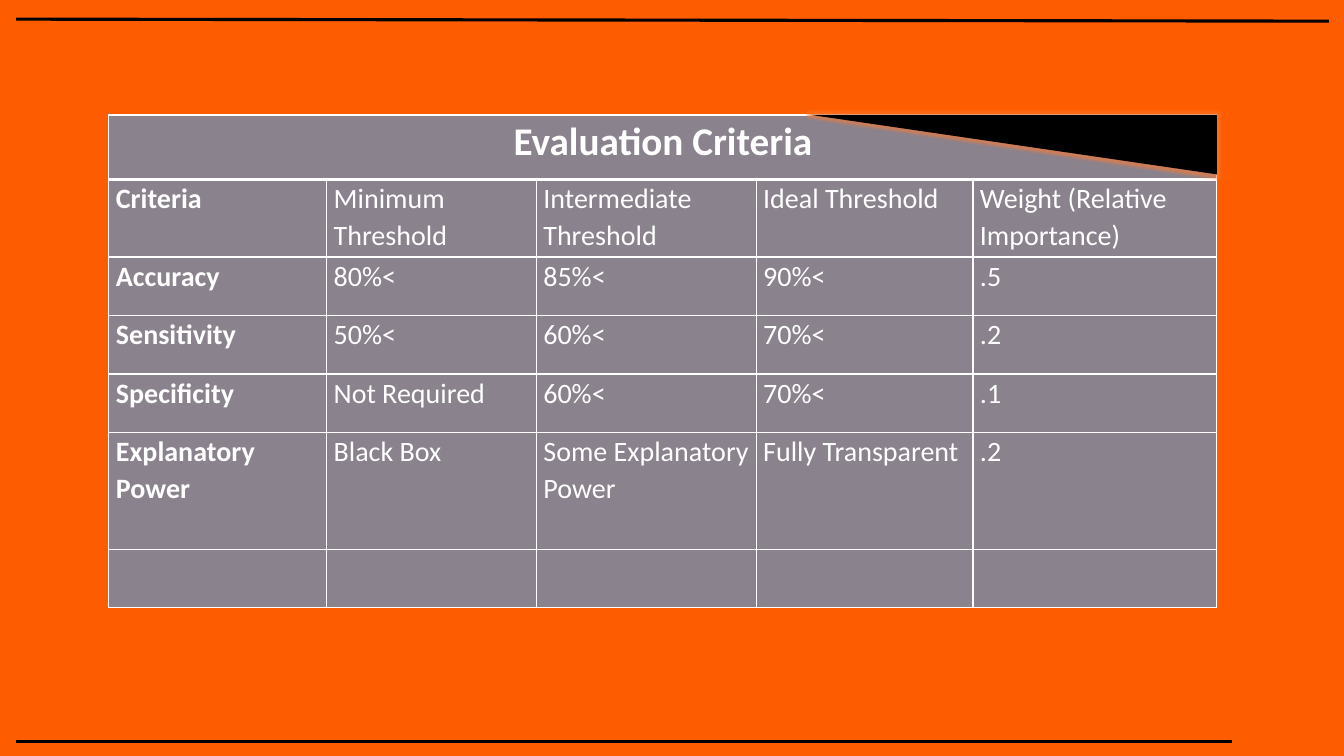
from lxml.etree import SubElement
from pptx import Presentation
from pptx.dml.color import RGBColor
from pptx.enum.shapes import MSO_CONNECTOR as Connector, MSO_SHAPE as Shape
from pptx.enum.text import PP_ALIGN as Align
from pptx.oxml import parse_xml
from pptx.oxml.ns import nsdecls, qn
from pptx.util import Inches, Pt

TITLE = "Evaluation Criteria"
ROWS = [
    ("Criteria", "Minimum Threshold", "Intermediate Threshold", "Ideal Threshold",
     "Weight (Relative Importance)"),
    ("Accuracy", "80%<", "85%<", "90%<", ".5"),
    ("Sensitivity", "50%<", "60%<", "70%<", ".2"),
    ("Specificity", "Not Required", "60%<", "70%<", ".1"),
    ("Explanatory Power", "Black Box", "Some Explanatory Power", "Fully Transparent", ".2"),
    ("",) * 5,
]
COLUMN_WIDTHS = (2.16, 2.08, 2.18, 2.15, 2.42)
ROW_HEIGHTS = (0.64, 0.77, 0.58, 0.58, 0.58, 1.16, 0.58)
TABLE_LEFT, TABLE_TOP = 1.08, 1.14
WEDGE_WIDTH, WEDGE_HEIGHT = 4.03, 0.59
RULES = [(0.16, 7.36, 12.22, 7.36), (0.16, 0.19, 13.18, 0.21)]

ORANGE = RGBColor(0xFE, 0x5C, 0x00)
GLOW = RGBColor(0xFE, 0x7C, 0x33)
GREY = RGBColor(0x8A, 0x82, 0x8D)
WHITE = RGBColor(0xFF, 0xFF, 0xFF)
BLACK = RGBColor(0x00, 0x00, 0x00)


def add_rule(page, ends):
    rule = page.shapes.add_connector(Connector.STRAIGHT, *map(Inches, ends))
    rule.line.color.rgb = BLACK
    rule.line.width = Pt(2.25)
    SubElement(rule._element.spPr, qn("a:effectLst"))


def style_cell(cell, row):
    cell.margin_left = cell.margin_right = Inches(0.07)
    cell.margin_top = cell.margin_bottom = 0
    heavy_side = {0: "B", 1: "T"}.get(row)
    for side in "LRTB":
        width = Pt(3 if side == heavy_side else 1)
        cell._tc.get_or_add_tcPr().append(parse_xml(
            f'<a:ln{side} {nsdecls("a")} w="{width}"><a:solidFill>'
            f'<a:srgbClr val="{WHITE}"/></a:solidFill></a:ln{side}>'))
    cell.fill.solid()
    cell.fill.fore_color.rgb = GREY


def write_cell(cell, text, size, bold):
    para = cell.text_frame.paragraphs[0]
    para.text = text
    para.line_spacing = 1.07
    para.font.name = "Calibri"
    para.font.size = Pt(size)
    para.font.bold = bold
    para.font.color.rgb = WHITE
    return para


def add_criteria_table(page):
    table = page.shapes.add_table(
        len(ROW_HEIGHTS), len(COLUMN_WIDTHS), Inches(TABLE_LEFT), Inches(TABLE_TOP),
        Inches(sum(COLUMN_WIDTHS)), Inches(sum(ROW_HEIGHTS))).table
    table.first_row = table.horz_banding = False
    for column, width in zip(table.columns, COLUMN_WIDTHS):
        column.width = Inches(width)
    for row, height in enumerate(ROW_HEIGHTS):
        table.rows[row].height = Inches(height)
        for cell in table.rows[row].cells:
            style_cell(cell, row)
    heading = table.cell(0, 0)
    heading.merge(table.cell(0, len(COLUMN_WIDTHS) - 1))
    write_cell(heading, TITLE, 28, True).alignment = Align.CENTER
    for row, texts in enumerate(ROWS, start=1):
        for column, text in enumerate(texts):
            write_cell(table.cell(row, column), text, 20, column == 0)


def add_corner_wedge(page):
    left = TABLE_LEFT + sum(COLUMN_WIDTHS) - WEDGE_WIDTH
    wedge = page.shapes.add_shape(Shape.RIGHT_TRIANGLE, Inches(left), Inches(TABLE_TOP),
                                  Inches(WEDGE_WIDTH), Inches(WEDGE_HEIGHT))
    wedge.rotation = 180
    wedge.fill.solid()
    wedge.fill.fore_color.rgb = BLACK
    wedge.line.fill.background()
    wedge.shadow.inherit = False
    effects = wedge._element.spPr.find(qn("a:effectLst"))
    glow = SubElement(effects, qn("a:glow"), rad=str(Pt(5)))
    tint = SubElement(glow, qn("a:srgbClr"), val=str(GLOW))
    SubElement(tint, qn("a:alpha"), val="60000")


def main():
    """Build the evaluation criteria slide."""
    deck = Presentation()
    deck.slide_width, deck.slide_height = Inches(13.33), Inches(7.5)
    page = deck.slides.add_slide(deck.slide_layouts[6])
    page.background.fill.solid()
    page.background.fill.fore_color.rgb = ORANGE
    for ends in RULES:
        add_rule(page, ends)
    add_criteria_table(page)
    add_corner_wedge(page)
    deck.save("out.pptx")


if __name__ == "__main__":
    main()
